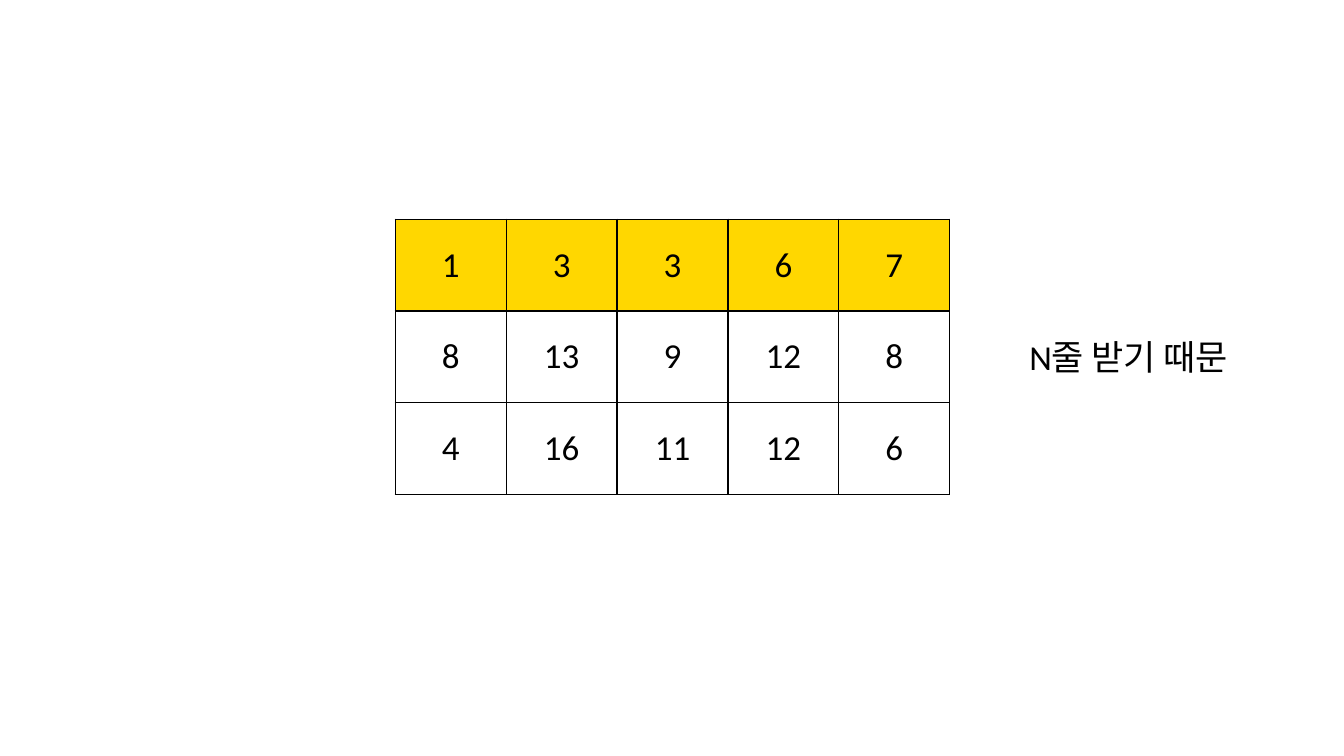
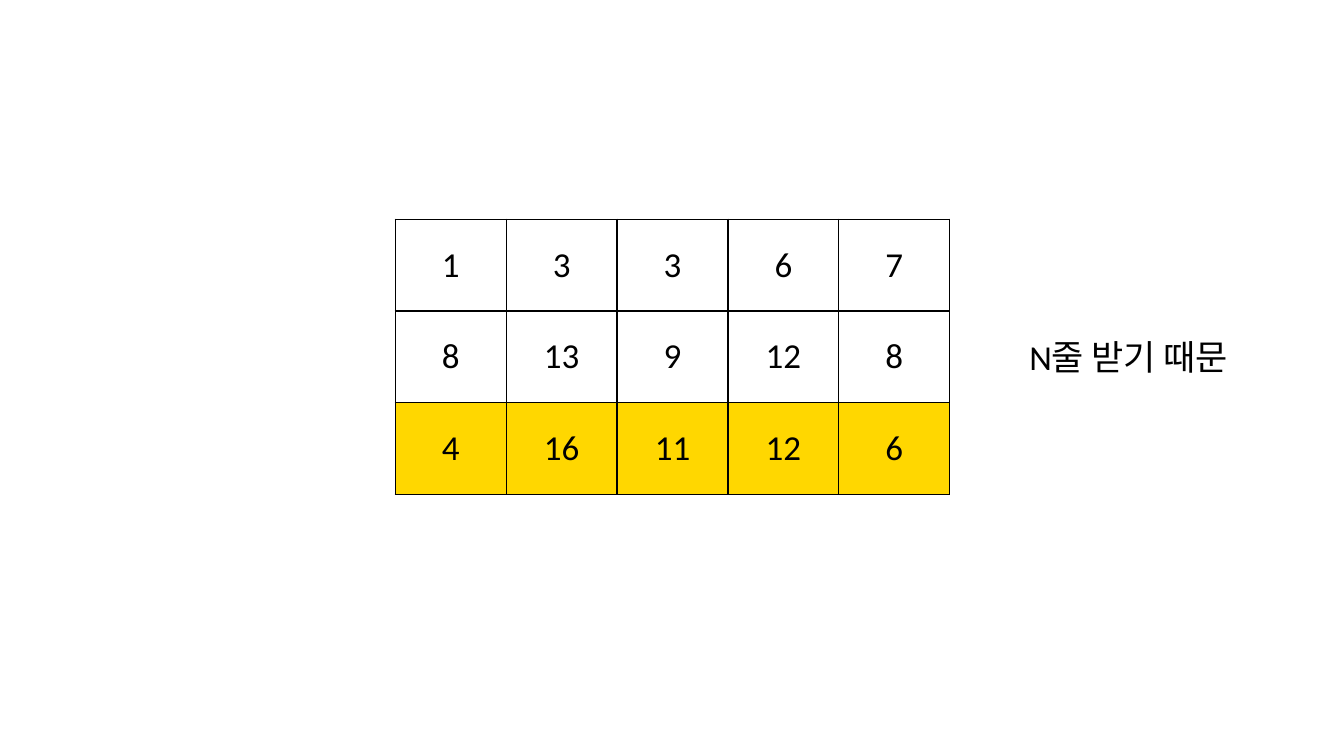
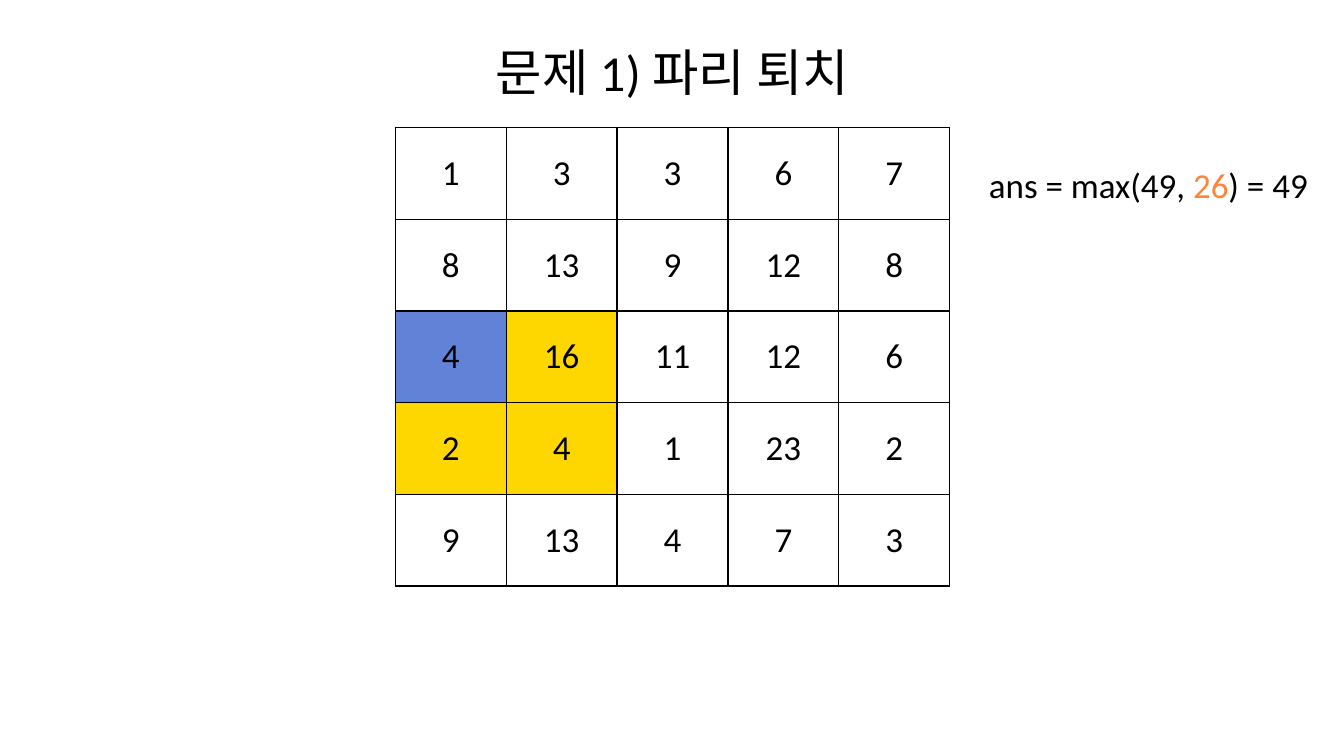
import pptx
import pptx.util
import pptx.dml.color
import pptx.enum.text
from lxml import etree

HUES = {"ink": "000000", "gold": "FFD700", "blue": "6182D6", "rust": "FF843A", "white": "FFFFFF"}
FONT = "Calibri"
WIDE, HIGH = 13.33, 7.5
COL, ROW = 1.1, 0.91
MID_X, MID_Y = 6.67, 3.54
BORDER = 1

GRID = [
    [1, 3, 3, 6, 7],
    [8, 13, 9, 12, 8],
    [4, 16, 11, 12, 6],
    [2, 4, 1, 23, 2],
    [9, 13, 4, 7, 3],
]
SPAN = range(len(GRID[0]))
NOTE = {"runs": [("N줄 받기 때문", "ink")], "at": (9.99, 3.28, 2.41, 0.52), "align": "CENTER"}
SUM = {
    "runs": [("ans = max(49, ", "ink"), ("26", "rust"), (") = 49", "ink")],
    "at": (9.71, 1.57, 3.48, 0.51),
    "align": "LEFT",
}
PAGES = [
    {"rows": 3, "marks": {(0, c): "gold" for c in SPAN}, "note": NOTE},
    {"rows": 3, "marks": {(2, c): "gold" for c in SPAN}, "note": NOTE},
    {
        "title": "문제 1) 파리 퇴치",
        "rows": 5,
        "marks": {(2, 0): "blue", (2, 1): "gold", (3, 0): "gold", (3, 1): "gold"},
        "note": SUM,
    },
]


def rgb(hue):
    return pptx.dml.color.RGBColor.from_string(HUES[hue])


def place(shape, box):
    for name, size in zip(("left", "top", "width", "height"), box):
        setattr(shape, name, pptx.util.Inches(size))


def write(frame, runs, size=25, align="CENTER"):
    para = frame.paragraphs[0]
    para.alignment = getattr(pptx.enum.text.PP_ALIGN, align)
    for text, hue in runs:
        run = para.add_run()
        run.text = text
        for name, value in {"name": FONT, "size": pptx.util.Pt(size), "bold": False}.items():
            setattr(run.font, name, value)
        run.font.color.rgb = rgb(hue)


def edge(cell):
    props = cell._tc.get_or_add_tcPr()
    for spot, side in enumerate(("lnL", "lnR", "lnT", "lnB")):
        line = etree.Element(pptx.oxml.ns.qn("a:" + side), w=str(pptx.util.Pt(BORDER)))
        fill = etree.SubElement(line, pptx.oxml.ns.qn("a:solidFill"))
        etree.SubElement(fill, pptx.oxml.ns.qn("a:srgbClr"), val=HUES["ink"])
        props.insert(spot, line)


def add_grid(slide, count, marks):
    wide, high = COL * len(SPAN), ROW * count
    box = (MID_X - wide / 2, MID_Y - high / 2, wide, high)
    table = slide.shapes.add_table(count, len(SPAN), *map(pptx.util.Inches, box)).table
    for name in ("first_row", "horz_banding"):
        setattr(table, name, False)
    for r, row in enumerate(GRID[:count]):
        for c, value in enumerate(row):
            cell = table.cell(r, c)
            cell.vertical_anchor = pptx.enum.text.MSO_ANCHOR.MIDDLE
            cell.fill.solid()
            cell.fill.fore_color.rgb = rgb(marks.get((r, c), "white"))
            edge(cell)
            write(cell.text_frame, [(str(value), "ink")])


def add_title(slide, text):
    title = slide.shapes.title
    place(title, (0.67, 0.4, 12, 0.62))
    frame = title.text_frame
    frame.auto_size = pptx.enum.text.MSO_AUTO_SIZE.NONE
    frame.vertical_anchor = pptx.enum.text.MSO_ANCHOR.MIDDLE
    write(frame, [(text, "ink")], size=36)


def add_note(slide, note):
    box = slide.shapes.add_textbox(*map(pptx.util.Inches, note["at"]))
    box.text_frame.word_wrap = True
    write(box.text_frame, note["runs"], align=note["align"])


def main():
    deck = pptx.Presentation()
    deck.slide_width = pptx.util.Inches(WIDE)
    deck.slide_height = pptx.util.Inches(HIGH)
    for page in PAGES:
        layout = deck.slide_layouts.get_by_name("Title Only" if "title" in page else "Blank")
        slide = deck.slides.add_slide(layout)
        if "title" in page:
            add_title(slide, page["title"])
        add_grid(slide, page["rows"], page["marks"])
        add_note(slide, page["note"])
    deck.save("out.pptx")


if __name__ == "__main__":
    main()
